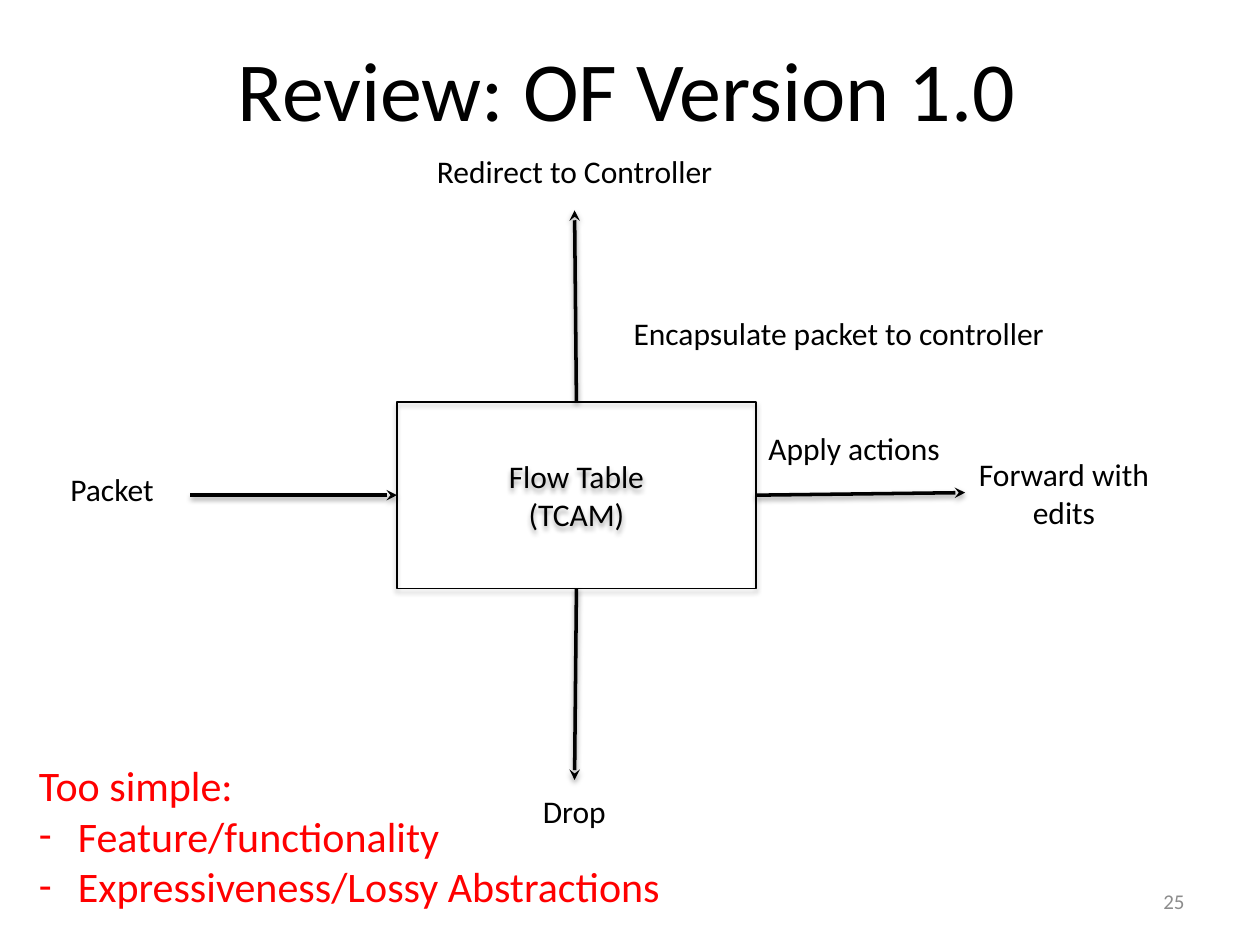
from lxml import etree
from pptx import Presentation
from pptx import util as u
from pptx.dml.color import RGBColor
from pptx.enum import shapes, text
from pptx.oxml.ns import qn

BLACK = RGBColor(0, 0, 0)
RED = RGBColor(255, 0, 0)
GRAY = RGBColor(0x8C, 0x8C, 0x8C)
LEFT, CENTER, RIGHT = text.PP_ALIGN.LEFT, text.PP_ALIGN.CENTER, text.PP_ALIGN.RIGHT


def write(shape, lines, size=18, color=BLACK, align=LEFT):
    frame = shape.text_frame
    for number, line in enumerate(lines):
        para = frame.add_paragraph() if number else frame.paragraphs[0]
        para.alignment = align
        span = para.add_run()
        span.text = line
        span.font.color.rgb = color
        for name, value in {"name": "Calibri", "size": u.Pt(size)}.items():
            setattr(span.font, name, value)


def add_shadow(shape, opacity, distance):
    properties = shape._element.spPr
    effects = etree.SubElement(properties, qn("a:effectLst"))
    shadow = etree.SubElement(effects, qn("a:outerShdw"), blurRad=str(u.Pt(3.1)),
                              dist=str(u.Pt(distance)), dir="5400000", rotWithShape="0")
    tone = etree.SubElement(shadow, qn("a:srgbClr"), val="000000")
    etree.SubElement(tone, qn("a:alpha"), val=str(opacity * 1000))


deck = Presentation()
deck.slide_width, deck.slide_height = u.Inches(10), u.Inches(7.5)
page = deck.slides.add_slide(deck.slide_layouts[6])

# Flow table in the middle
table_box = page.shapes.add_shape(shapes.MSO_SHAPE.RECTANGLE, u.Inches(3.15), u.Inches(3.19),
                                  u.Inches(2.85), u.Inches(1.48))
table_box.fill.background()
table_box.line.color.rgb = BLACK
table_box.line.width = u.Pt(0.75)
add_shadow(table_box, 35, 1.8)
table_box.text_frame.vertical_anchor = text.MSO_ANCHOR.MIDDLE
write(table_box, ["Flow Table", "(TCAM)"], align=CENTER)

# Arrows: start, end, side of the table they leave or enter, whether they enter
arrows = [
    ((4.57, 3.19), (4.56, 1.67), 0, False),
    ((4.57, 4.67), (4.56, 6.19), 2, False),
    ((6, 3.93), (7.66, 3.91), 3, False),
    ((1.51, 3.93), (3.15, 3.93), 1, True),
]
for start, end, side, enters in arrows:
    arrow = page.shapes.add_connector(shapes.MSO_CONNECTOR.STRAIGHT,
                                      *[u.Inches(value) for value in start + end])
    join = arrow.end_connect if enters else arrow.begin_connect
    join(table_box, side)
    arrow.line.color.rgb = BLACK
    arrow.line.width = u.Pt(2)
    etree.SubElement(arrow.line._get_or_add_ln(), qn("a:tailEnd"), type="stealth")
    add_shadow(arrow, 38, 1.6)

# Title, labels, remarks and page number: place, lines, size, colour, alignment
texts = [
    ((1.79, 0.25, 6.5, 0.91), ["Review: OF Version 1.0"], 48, BLACK, LEFT),
    ((3.37, 1.16, 2.43, 0.4), ["Redirect to Controller"], 18, BLACK, LEFT),
    ((4.93, 2.44, 3.52, 0.4), ["Encapsulate packet to controller"], 18, BLACK, LEFT),
    ((6, 3.36, 1.58, 0.4), ["Apply actions"], 18, BLACK, LEFT),
    ((7.66, 3.56, 1.57, 0.71), ["Forward with", "edits"], 18, BLACK, CENTER),
    ((0.46, 3.68, 0.88, 0.4), ["Packet"], 18, BLACK, LEFT),
    ((4.21, 6.24, 0.71, 0.4), ["Drop"], 18, BLACK, LEFT),
    ((0.21, 5.98, 5.19, 1.31),
     ["Too simple:", "Feature/functionality", "Expressiveness/Lossy Abstractions"], 24, RED, LEFT),
    ((7.17, 6.95, 2.33, 0.4), ["25"], 12, GRAY, RIGHT),
]
for place, lines, size, color, align in texts:
    box = page.shapes.add_textbox(*[u.Inches(value) for value in place])
    numbered = align == RIGHT
    settings = {
        "word_wrap": numbered,
        "auto_size": text.MSO_AUTO_SIZE.NONE if numbered else text.MSO_AUTO_SIZE.SHAPE_TO_FIT_TEXT,
        "vertical_anchor": text.MSO_ANCHOR.MIDDLE if numbered else text.MSO_ANCHOR.TOP,
    }
    for name, value in settings.items():
        setattr(box.text_frame, name, value)
    write(box, lines, size, color, align)

    # Dashes before the red remarks
    if color == RED:
        for para in box.text_frame.paragraphs[1:]:
            layout = para._p.get_or_add_pPr()
            layout.set("marL", str(u.Inches(0.31)))
            layout.set("indent", str(-u.Inches(0.31)))
            etree.SubElement(layout, qn("a:buFont"), typeface="Calibri")
            etree.SubElement(layout, qn("a:buChar"), char="-")

deck.save("out.pptx")
